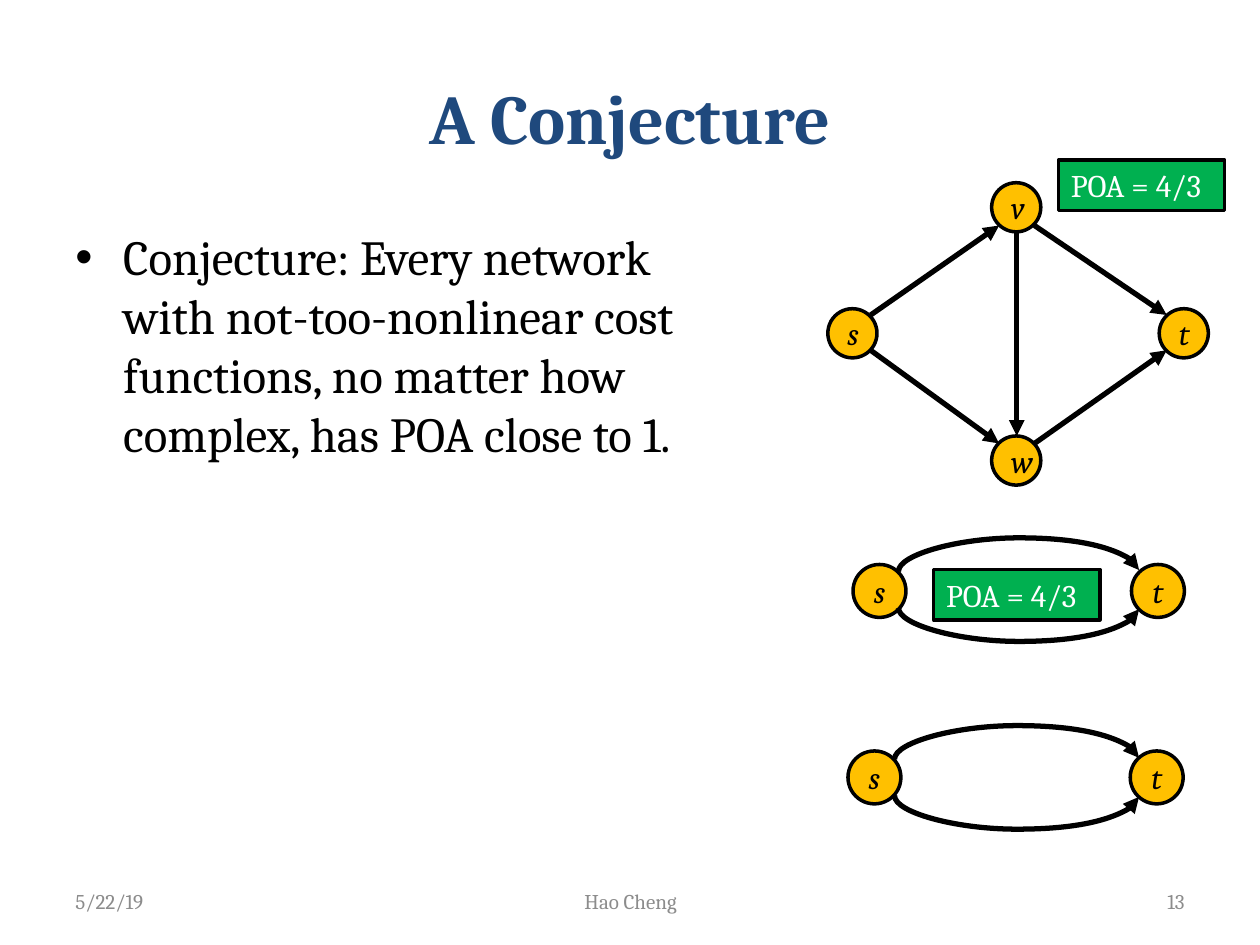
from lxml.etree import SubElement
from pptx import Presentation
from pptx.dml.color import RGBColor
from pptx.enum.shapes import MSO_CONNECTOR, MSO_SHAPE
from pptx.enum.text import MSO_ANCHOR, PP_ALIGN
from pptx.oxml.ns import qn
from pptx.util import Inches, Pt


def write(shape, text, size, color, align=PP_ALIGN.LEFT, anchor=MSO_ANCHOR.MIDDLE, **style):
    frame = shape.text_frame
    frame.word_wrap = True
    frame.vertical_anchor = anchor
    para = frame.paragraphs[0]
    para.alignment = align
    run = para.add_run()
    run.text = text
    run.font.color.rgb = RGBColor.from_string(color)
    for name, value in {"name": "Cambria", "size": Pt(size), **style}.items():
        setattr(run.font, name, value)
    return para


def arrow(group, kind, *ends):
    line = group.shapes.add_connector(kind, *[Inches(v) for v in ends])
    line.line.width = Pt(3)
    line.line.color.rgb = RGBColor.from_string("000000")
    SubElement(line.line._get_or_add_ln(), qn("a:tailEnd"), type="triangle")
    props = line._element.spPr
    SubElement(props, qn("a:effectLst"))
    return props


deck = Presentation()
deck.slide_width, deck.slide_height = Inches(10), Inches(7.5)
slide = deck.slides.add_slide(deck.slide_layouts[5])

title = slide.shapes.title
title.left, title.top, title.width, title.height = [Inches(v) for v in (0.5, 0.3, 9, 1.25)]
write(title, "A Conjecture", 40, "1F497D", PP_ALIGN.CENTER, bold=True)

for text, left, width, align in [
    ("5/22/19", 0.5, 2.33, PP_ALIGN.LEFT),
    ("13", 7.17, 2.33, PP_ALIGN.RIGHT),
    ("Hao Cheng", 3.42, 3.17, PP_ALIGN.CENTER),
]:
    box = slide.shapes.add_textbox(Inches(left), Inches(6.95), Inches(width), Inches(0.4))
    write(box, text, 12, "8C8C8C", align)

body = slide.shapes.add_textbox(Inches(0.5), Inches(1.75), Inches(5.5), Inches(4.95))
para = write(
    body,
    "Conjecture: Every network with not-too-nonlinear cost functions, "
    "no matter how complex, has POA close to 1.",
    28, "000000", anchor=MSO_ANCHOR.TOP,
)
props = para._p.get_or_add_pPr()
props.set("marL", str(Inches(0.38)))
props.set("indent", str(-Inches(0.38)))
SubElement(props, qn("a:buFont"), typeface="Arial")
SubElement(props, qn("a:buChar"), char="•")

pairs = [
    (0.42, [("s", 6.77, 4.48), ("t", 8.98, 4.48)]),
    (0.42, [("s", 6.73, 5.96), ("t", 8.97, 5.96)]),
]
diamond = (0.39, [("s", 6.57, 2.45), ("v", 7.87, 1.45), ("w", 7.87, 3.46), ("t", 9.2, 2.45)])
groups = []
for size, nodes in pairs + [diamond]:
    group = slide.shapes.add_group_shape()
    groups.append(group)
    for text, left, top in nodes:
        node = group.shapes.add_shape(
            MSO_SHAPE.OVAL, Inches(left), Inches(top), Inches(size), Inches(size))
        node.shadow.inherit = False
        node.fill.solid()
        node.fill.fore_color.rgb = RGBColor.from_string("FFC000")
        node.line.color.rgb = RGBColor.from_string("000000")
        node.line.width = Pt(2)
        write(node, text, 18, "000000", PP_ALIGN.CENTER, italic=True)

for group, left, right, high, low in [
    (groups[0], 7.13, 9.04, 4.53, 4.83),
    (groups[1], 7.1, 9.04, 6.02, 6.32),
]:
    mid, half = (left + right) / 2, (right - left) / 2
    for y, turn, x1, x2, way in [(high, 90, 0.005, -0.005, 1), (low, 270, 0.005, -0.005, -1)]:
        props = arrow(group, MSO_CONNECTOR.CURVE,
                      mid + x1, y + way * half, mid + x2, y - way * half)
        props.find(qn("a:xfrm")).set("rot", str(turn * 60000))
        guides = props.find(qn("a:prstGeom")).find(qn("a:avLst"))
        SubElement(guides, qn("a:gd"), name="adj1", fmla="val 2700000")

for ends in [
    (6.91, 2.5, 7.93, 1.79),
    (8.21, 1.79, 9.26, 2.5),
    (6.91, 2.78, 7.93, 3.52),
    (8.21, 3.52, 9.26, 2.78),
    (8.07, 1.85, 8.07, 3.46),
]:
    arrow(groups[2], MSO_CONNECTOR.STRAIGHT, *ends)

for left, top in [(8.4, 1.27), (7.41, 4.52)]:
    label = slide.shapes.add_shape(
        MSO_SHAPE.RECTANGLE, Inches(left), Inches(top), Inches(1.32), Inches(0.4))
    label.shadow.inherit = False
    label.fill.solid()
    label.fill.fore_color.rgb = RGBColor.from_string("00B050")
    label.line.color.rgb = RGBColor.from_string("000000")
    label.line.width = Pt(2)
    write(label, "POA = 4/3", 18, "FFFFFF", anchor=MSO_ANCHOR.TOP)

deck.save("out.pptx")
